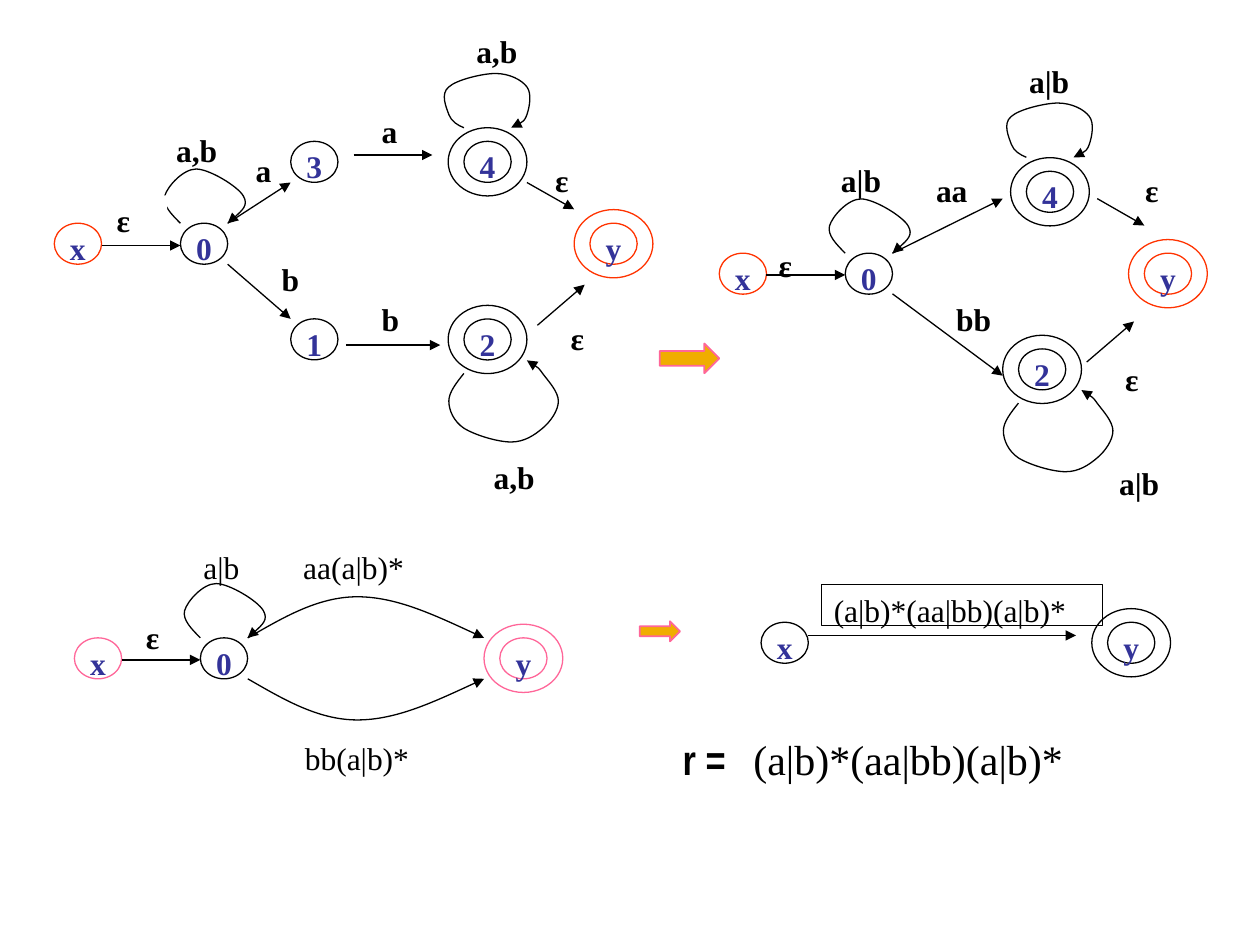
from lxml import etree
from pptx import Presentation
from pptx import util as u
from pptx.dml import color
from pptx.enum import shapes, text
from pptx.oxml import ns

BLACK, WHITE, NAVY = "000000", "FFFFFF", "333399"
RED, PINK, GOLD = "FF3300", "FF6699", "F0AD00"
SERIF = "Times New Roman"

LOOP_START = [
    (-5, -5), (-10.3, -10.3), (-9, -15.5),
    (-7.5, -21), (1.5, -31), (9, -31),
    (16.5, -31), (33, -21), (36, -15.5),
    (39, -10.3), (33, -5), (27, 0),
]
LOOP_ABOVE = [
    (-3.6, -1.4), (-7.2, -3.6), (-8.6, -7.5),
    (-10, -11.5), (-13.7, -19.4), (-8.6, -23.3),
    (-4.3, -27.4), (10.8, -31), (18, -31),
    (25.9, -31), (33, -27.4), (36, -23.3),
    (39, -19.4), (37.4, -11.5), (36, -7.5),
    (34.6, -3.6), (31, -1.4), (27, 0),
]
LOOP_BELOW = [
    (-4.3, 5.4), (-8.6, 10.8), (-8.6, 15.8),
    (-8.6, 21), (-5.8, 27.4), (0, 31.3),
    (6.5, 35.3), (19.4, 39.2), (27, 39.2),
    (34.5, 39.2), (40.3, 35.3), (45, 31.3),
    (49.7, 27.4), (54, 21), (54, 15.8),
    (54, 10.4), (48.2, 4.3), (45, 0),
    (42.5, -3.6), (39, -5.8), (36, -7.5),
]
ARC_OVER = [
    (20, -11.5), (40, -23.5), (62.6, -23.5),
    (85, -23.5), (110, -11.5), (135, 0),
]
ARC_UNDER = [(x, -y) for x, y in ARC_OVER]


def rgb(value):
    return color.RGBColor.from_string(value)


def paint(shape, fill=None, line=None, width=0.75):
    shape.shadow.inherit = False
    if fill:
        shape.fill.solid()
        shape.fill.fore_color.rgb = rgb(fill)
    else:
        shape.fill.background()
    if line:
        shape.line.color.rgb = rgb(line)
        shape.line.width = u.Pt(width)
    else:
        shape.line.fill.background()


def write(shape, words, align, ink=BLACK, bold=False, size=18, font=SERIF):
    frame = shape.text_frame
    frame.word_wrap = True
    frame.vertical_anchor = text.MSO_ANCHOR.TOP
    frame.text = words
    paragraph = frame.paragraphs[0]
    paragraph.alignment = align
    run_font = paragraph.runs[0].font
    run_font.name = font
    run_font.size = u.Pt(size)
    run_font.bold = bold
    run_font.color.rgb = rgb(ink)


def add_preset(slide, kind, left, top, width, height, fill=WHITE, line=BLACK, weight=0.75):
    box = [u.Pt(value) for value in (left, top, width, height)]
    shape = slide.shapes.add_shape(kind, *box)
    paint(shape, fill, line, weight)
    return shape


def add_state(slide, name, left, top, line=BLACK, final=False):
    oval = shapes.MSO_SHAPE.OVAL
    if final:
        add_preset(slide, oval, left - 9, top - 7.8, 45, 39, line=line)
    shape = add_preset(slide, oval, left, top, 27, 23.4, line=line)
    frame = shape.text_frame
    frame.margin_left = frame.margin_right = 0
    frame.margin_top = frame.margin_bottom = 0
    write(shape, name, text.PP_ALIGN.CENTER, NAVY, True)


def add_label(slide, words, left, top, width=36, bold=True, height=23.4,
              align=text.PP_ALIGN.JUSTIFY, **style):
    box = [u.Pt(value) for value in (left, top, width, height)]
    shape = slide.shapes.add_textbox(*box)
    write(shape, words, align, bold=bold, **style)
    return shape


def add_arrowhead(shape):
    line = shape._element.spPr.find(ns.qn("a:ln"))
    etree.SubElement(line, ns.qn("a:tailEnd"), type="triangle")


def add_arrow(slide, x1, y1, x2, y2):
    ends = [u.Pt(value) for value in (x1, y1, x2, y2)]
    arrow = slide.shapes.add_connector(shapes.MSO_CONNECTOR.STRAIGHT, *ends)
    arrow.line.color.rgb = rgb(BLACK)
    arrow.line.width = u.Pt(0.75)
    add_arrowhead(arrow)
    etree.SubElement(arrow._element.spPr, ns.qn("a:effectLst"))


def bend_segments(curve):
    outline = curve._element.spPr.find(".//" + ns.qn("a:path"))
    segments = outline.findall(ns.qn("a:lnTo"))
    for index in range(0, len(segments), 3):
        bezier = etree.SubElement(outline, ns.qn("a:cubicBezTo"))
        for segment in segments[index:index + 3]:
            bezier.append(segment[0])
            outline.remove(segment)


def add_curve(slide, left, top, controls):
    builder = slide.shapes.build_freeform(u.Pt(left), u.Pt(top))
    points = [(u.Pt(left + x), u.Pt(top + y)) for x, y in controls]
    builder.add_line_segments(points, close=False)
    curve = builder.convert_to_shape()
    bend_segments(curve)
    paint(curve, line=BLACK)
    add_arrowhead(curve)


def add_automaton(slide, states, arrows, curves, labels):
    for state in states:
        add_state(slide, *state)
    for arrow in arrows:
        add_arrow(slide, *arrow)
    for curve in curves:
        add_curve(slide, *curve)
    for label in labels:
        add_label(slide, *label)


def add_first_automaton(slide):
    add_automaton(
        slide,
        [("x", 31, 127.6, RED), ("0", 103.1, 127.6), ("3", 166.1, 80.8),
         ("1", 166.1, 182.2), ("4", 265.1, 80.8, BLACK, True),
         ("2", 265.1, 182.3, BLACK, True), ("y", 337.1, 127.6, RED, True)],
        [(58.1, 140.3, 103.1, 140.3), (130.1, 127.6, 166.1, 104.3),
         (130.1, 151, 166.1, 182.2), (202.1, 88.6, 247.1, 88.6),
         (197.6, 197.2, 251.6, 197.2), (301.1, 104.3, 328.1, 119.6),
         (307.1, 185.9, 334.1, 162.7)],
        [(103.1, 127.6, LOOP_START), (265.1, 73, LOOP_ABOVE), (265.1, 213.4, LOOP_BELOW)],
        [("a,b", 93.6, 71.3, 45), ("a,b", 265.1, 14.8, 45), ("a,b", 275, 258, 45)])
    epsilon = add_label(slide, "ε", 59.6, 111.6)
    paint(epsilon, WHITE)
    for label in (("a", 139, 82.8), ("a", 211, 60.5), ("ε", 310.1, 88.6), ("ε", 319, 178.6),
                  ("b", 211, 167.8), ("b", 153.9, 145.2)):
        add_label(slide, *label)


def add_second_automaton(slide):
    add_automaton(
        slide,
        [("x", 411, 144.7, RED), ("0", 483, 144.7), ("y", 653.9, 144.7, RED, True),
         ("4", 586.5, 97.9, BLACK, True), ("2", 582, 199.4, BLACK, True)],
        [(438, 157.1, 483, 157.1), (510, 144.7, 573, 113.5),
         (510, 167.9, 573, 214.7), (627, 113.5, 653.9, 128.9),
         (621, 206.9, 648, 183.7)],
        [(483, 144.7, LOOP_START), (586.5, 89.9, LOOP_ABOVE), (582, 230.4, LOOP_BELOW)],
        [("a|b", 581, 31.7, 45), ("a|b", 473.5, 88.6, 45), ("a|b", 632.4, 261.8, 45),
         ("aa", 527.8, 94.3), ("bb", 539.3, 167.8), ("ε", 437.8, 136.8),
         ("ε", 647.3, 94.3), ("ε", 635.8, 202.3)])


def add_third_automaton(slide):
    add_automaton(
        slide,
        [("x", 42.5, 364.5, PINK), ("0", 114.5, 364.5), ("y", 285.6, 364.5, PINK, True)],
        [(69.6, 377.1, 114.5, 377.1)],
        [(114.5, 364.5, LOOP_START), (141.6, 364.5, ARC_OVER), (141.6, 387.9, ARC_UNDER)],
        [("a|b", 109.2, 309.6, 45, False), ("aa(a|b)*", 166.2, 309.6, 90, False),
         ("bb(a|b)*", 167.1, 419, 78.5, False), ("ε", 76.3, 349.4)])


def add_final_automaton(slide):
    expression = "(a|b)*(aa|bb)(a|b)*"
    add_automaton(
        slide,
        [("x", 434.9, 355.6), ("y", 632.9, 355.6, BLACK, True)],
        [(462, 363.1, 614.9, 363.1)], [], [])
    edge = add_preset(slide, shapes.MSO_SHAPE.RECTANGLE, 469.4, 334.2, 160.6, 23.4, None)
    write(edge, expression, text.PP_ALIGN.JUSTIFY)
    return expression


def add_result(slide, expression):
    add_label(slide, "r =", 383, 415.9, 69, height=36, align=text.PP_ALIGN.LEFT,
              size=24, font="Arial Narrow")
    add_label(slide, expression, 423.4, 415.9, 245.5, False, 41, size=24)


def main():
    presentation = Presentation()
    presentation.slide_width, presentation.slide_height = u.Pt(720), u.Pt(540)
    slide = presentation.slides.add_slide(presentation.slide_layouts[6])
    for box in ((377, 196.3, 34, 17), (365.6, 355, 23, 11.5)):
        add_preset(slide, shapes.MSO_SHAPE.RIGHT_ARROW, *box, GOLD, PINK, 1)
    add_first_automaton(slide)
    add_third_automaton(slide)
    expression = add_final_automaton(slide)
    add_second_automaton(slide)
    add_result(slide, expression)
    presentation.save("out.pptx")


if __name__ == "__main__":
    main()
